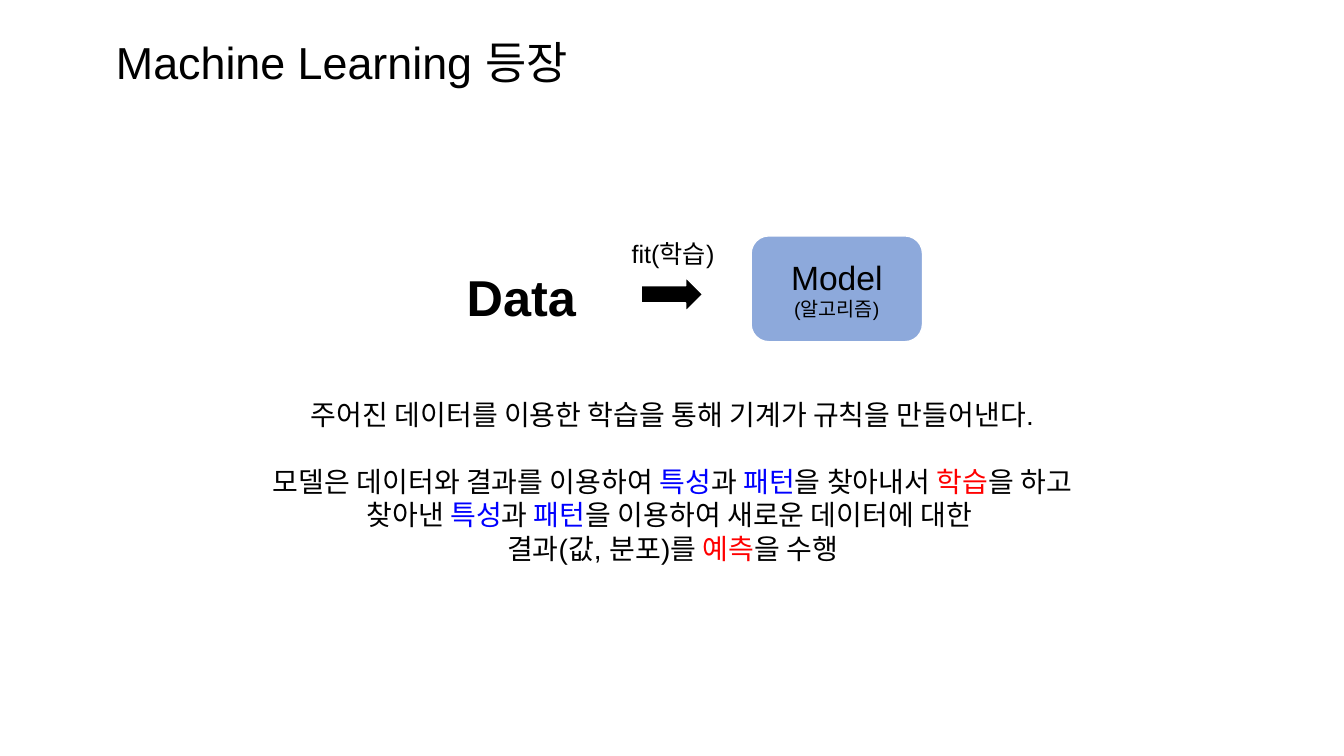
from pptx import Presentation
from pptx.dml.color import RGBColor
from pptx.enum.shapes import MSO_SHAPE
from pptx.enum.text import MSO_ANCHOR, MSO_AUTO_SIZE, PP_ALIGN
from pptx.util import Inches, Pt

BLACK = RGBColor(0x00, 0x00, 0x00)
WHITE = RGBColor(0xFF, 0xFF, 0xFF)
BLUE = RGBColor(0x00, 0x00, 0xFF)
RED = RGBColor(0xFF, 0x00, 0x00)
MODEL_FILL = RGBColor(0x8D, 0xA9, 0xDB)


def write_lines(shape, lines, anchor=MSO_ANCHOR.TOP, align=PP_ALIGN.CENTER, bold=False):
    """Fill a shape with lines, each a size in points and its (text, colour) runs."""
    frame = shape.text_frame
    frame.word_wrap = True
    frame.auto_size = MSO_AUTO_SIZE.NONE
    frame.vertical_anchor = anchor
    for index, (size, runs) in enumerate(lines):
        paragraph = frame.add_paragraph() if index else frame.paragraphs[0]
        paragraph.alignment = align
        for text, colour in runs:
            run = paragraph.add_run()
            run.text = text
            run.font.name = "Arial"
            run.font.size = Pt(size)
            run.font.bold = bold
            run.font.color.rgb = colour


def add_block(kind, left, top, width, height, fill):
    shape = slide.shapes.add_shape(
        kind, Inches(left), Inches(top), Inches(width), Inches(height))
    shape.shadow.inherit = False
    shape.fill.solid()
    shape.fill.fore_color.rgb = fill
    shape.line.color.rgb = WHITE
    shape.line.width = Pt(1)
    return shape


presentation = Presentation()
presentation.slide_width = Inches(13.33)
presentation.slide_height = Inches(7.5)
slide = presentation.slides.add_slide(presentation.slide_layouts[5])

title = slide.shapes.title
title.left, title.top = Inches(1.05), Inches(0.29)
title.width, title.height = Inches(5.01), Inches(0.64)
write_lines(title, [(32, [("Machine Learning 등장", BLACK)])], align=PP_ALIGN.LEFT)

data_label = slide.shapes.add_textbox(Inches(4.28), Inches(2.59), Inches(1.78), Inches(0.71))
write_lines(data_label, [(36, [("Data", BLACK)])], bold=True)

model = add_block(MSO_SHAPE.ROUNDED_RECTANGLE, 7.45, 2.34, 1.7, 1.05, MODEL_FILL)
write_lines(
    model,
    [(24, [("Model", BLACK)]), (14, [("(알고리즘)", BLACK)])],
    anchor=MSO_ANCHOR.MIDDLE,
)

add_block(MSO_SHAPE.RIGHT_ARROW, 6.36, 2.75, 0.61, 0.34, BLACK)

explanation = slide.shapes.add_textbox(Inches(2.31), Inches(3.89), Inches(8.72), Inches(1.78))
write_lines(explanation, [
    (20, [("주어진 데이터를 이용한 학습을 통해 기계가 규칙을 만들어낸다.", BLACK)]),
    (20, [("모델은 데이터와 결과를 이용하여 ", BLACK), ("특성", BLUE), ("과 ", BLACK),
          ("패턴", BLUE), ("을 찾아내서 ", BLACK), ("학습", RED), ("을 하고", BLACK)]),
    (20, [("찾아낸 ", BLACK), ("특성", BLUE), ("과 ", BLACK), ("패턴", BLUE),
          ("을 이용하여 새로운 데이터에 대한 ", BLACK)]),
    (20, [("결과(값, 분포)를 ", BLACK), ("예측", RED), ("을 수행", BLACK)]),
])
explanation.text_frame.paragraphs[1].space_before = Pt(24)

fit_label = slide.shapes.add_textbox(Inches(5.92), Inches(2.32), Inches(1.51), Inches(0.4))
write_lines(fit_label, [(18, [("fit(학습)", BLACK)])])

presentation.save("out.pptx")
